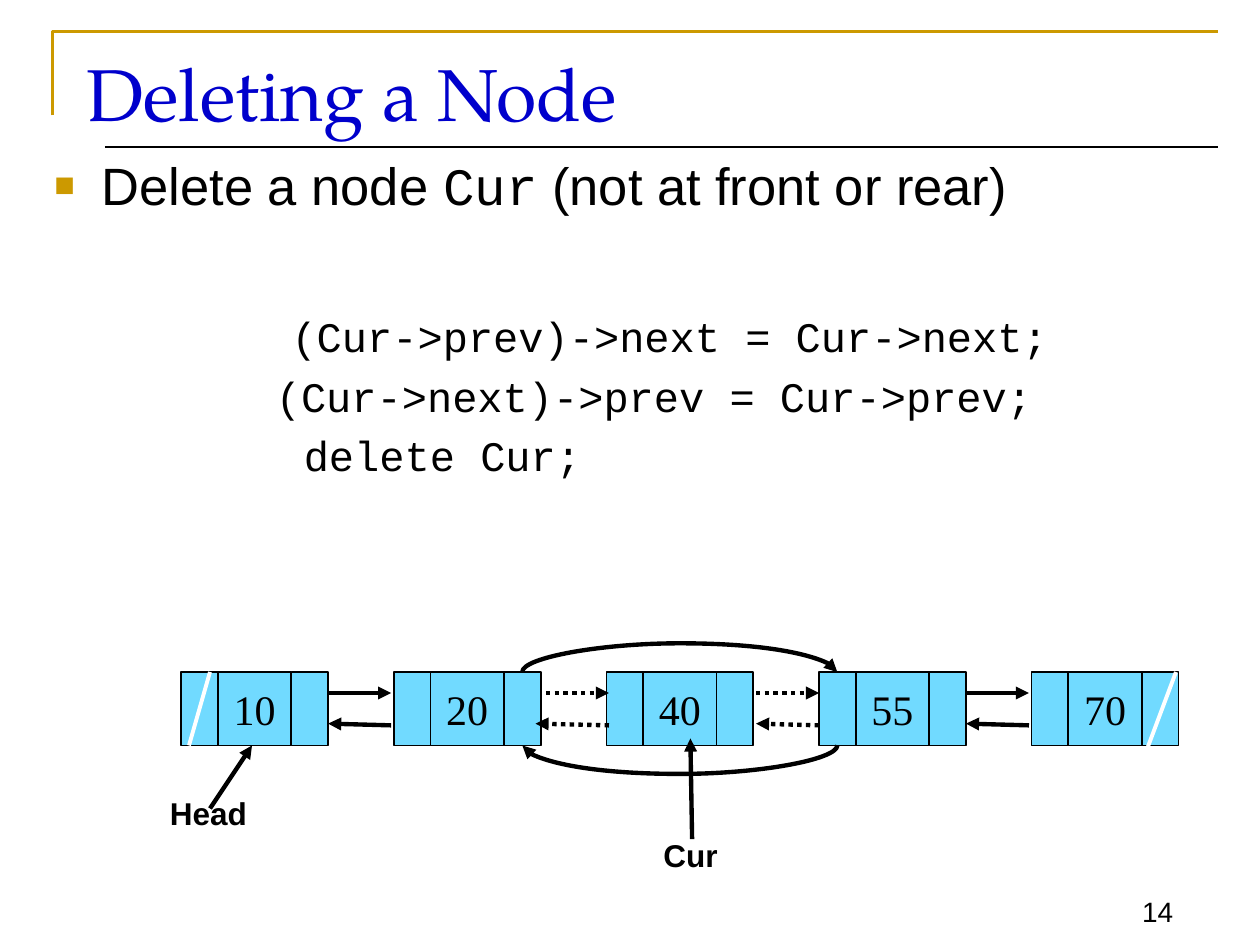
from dataclasses import dataclass
from typing import Any, NamedTuple

from lxml import etree
from pptx import Presentation
from pptx.dml.color import RGBColor
from pptx.enum.dml import MSO_LINE
from pptx.enum.shapes import MSO_CONNECTOR, MSO_SHAPE
from pptx.enum.text import MSO_ANCHOR, PP_ALIGN
from pptx.oxml.ns import qn
from pptx.util import Pt

STRAIGHT, CURVE = MSO_CONNECTOR.STRAIGHT, MSO_CONNECTOR.CURVE
RECTANGLE = MSO_SHAPE.RECTANGLE
TOP, MIDDLE, BOTTOM = MSO_ANCHOR.TOP, MSO_ANCHOR.MIDDLE, MSO_ANCHOR.BOTTOM
LEFT, CENTER, RIGHT = PP_ALIGN.LEFT, PP_ALIGN.CENTER, PP_ALIGN.RIGHT
DOTTED = MSO_LINE.ROUND_DOT


@dataclass(frozen=True)
class Theme:
    black: str = "000000"
    white: str = "FFFFFF"
    gold: str = "CC9900"
    blue: str = "0000CC"
    cell: str = "71DAFF"
    title_size: float = 42
    body_size: float = 30
    code_size: float = 24
    label_size: float = 18
    number_size: float = 16
    sans: str = "Arial"
    mono: str = "Courier New"
    serif: str = "Times New Roman"
    display: str = "TeX Gyre Pagella"


theme = Theme()


class Span(NamedTuple):
    text: str
    font: str
    size: float
    color: str = theme.black
    bold: bool = False


class Para(NamedTuple):
    spans: list[Span]
    before: float = 0
    align: PP_ALIGN = LEFT
    indent: float = 0
    bullet: str = ""


class Line(NamedTuple):
    start: tuple[float, float]
    end: tuple[float, float]
    width: float = 2.5
    color: str = theme.black
    arrow: bool = True
    dotted: bool = False


class Arc(NamedTuple):
    start: tuple[float, float]
    end: tuple[float, float]
    bend: int


class Label(NamedTuple):
    text: str
    left: float
    top: float


def set_values(target: Any, values: dict[str, Any]) -> None:
    for name, value in values.items():
        setattr(target, name, value)


def write_text(frame: Any, paras: list[Para], anchor: MSO_ANCHOR, wrap: bool) -> None:
    set_values(frame, {"word_wrap": wrap, "vertical_anchor": anchor})
    for index, item in enumerate(paras):
        para = frame.add_paragraph() if index else frame.paragraphs[0]
        set_values(para, {"alignment": item.align, "space_before": Pt(item.before)})
        properties = para._p.get_or_add_pPr()
        if item.indent:
            properties.set("marL", str(Pt(item.indent)))
        if item.bullet:
            properties.set("indent", str(-Pt(item.indent)))
            color = etree.SubElement(properties, qn("a:buClr"))
            etree.SubElement(color, qn("a:srgbClr"), val=theme.gold)
            etree.SubElement(properties, qn("a:buSzPct"), val="65000")
            etree.SubElement(properties, qn("a:buFont"), typeface=theme.sans)
            etree.SubElement(properties, qn("a:buChar"), char=item.bullet)
        for piece in item.spans:
            span = para.add_run()
            span.text = piece.text
            set_values(span.font, {"name": piece.font, "size": Pt(piece.size), "bold": piece.bold})
            span.font.color.rgb = RGBColor.from_string(piece.color)


def add_text(page: Any, place: tuple[float, ...], paras: list[Para],
             anchor: MSO_ANCHOR = TOP) -> None:
    box = page.shapes.add_textbox(*map(Pt, place))
    write_text(box.text_frame, paras, anchor, True)


def style_line(shape: Any, width: float, color: str, arrow: bool = False) -> None:
    shape.line.width = Pt(width)
    shape.line.color.rgb = RGBColor.from_string(color)
    if arrow:
        etree.SubElement(shape.line._get_or_add_ln(), qn("a:tailEnd"), type="triangle")


def add_line(page: Any, line: Line) -> None:
    connector = page.shapes.add_connector(STRAIGHT, *map(Pt, line.start + line.end))
    if line.dotted:
        connector.line.dash_style = DOTTED
    style_line(connector, line.width, line.color, line.arrow)
    etree.SubElement(connector._element.spPr, qn("a:effectLst"))


def add_arc(page: Any, arc: Arc) -> None:
    thickness = 0.125
    middle = (arc.start[0] + arc.end[0]) / 2
    half = (arc.end[0] - arc.start[0]) / 2
    level = arc.start[1]
    connector = page.shapes.add_connector(
        CURVE, Pt(middle - thickness / 2), Pt(level + half),
        Pt(middle + thickness / 2), Pt(level - half))
    properties = connector._element.spPr
    properties.find(qn("a:xfrm")).set("rot", "5400000")
    geometry = properties.find(qn("a:prstGeom"))
    adjustments = geometry.find(qn("a:avLst"))
    if adjustments is None:
        adjustments = etree.SubElement(geometry, qn("a:avLst"))
    bend = round(arc.bend / thickness * 100000)
    etree.SubElement(adjustments, qn("a:gd"), name="adj1", fmla=f"val {bend}")
    style_line(connector, 2.5, theme.black, True)
    etree.SubElement(properties, qn("a:effectLst"))


def add_node(page: Any, left: float, value: str) -> None:
    node = page.shapes.add_group_shape()
    for offset, width, text in ((0, 21, ""), (21, 42, value), (63, 21, "")):
        cell = node.shapes.add_shape(RECTANGLE, Pt(left + offset), Pt(384), Pt(width), Pt(42))
        cell.shadow.inherit = False
        cell.fill.solid()
        cell.fill.fore_color.rgb = RGBColor.from_string(theme.cell)
        style_line(cell, 1, theme.black)
        if text:
            span = Span(text, theme.serif, theme.code_size)
            write_text(cell.text_frame, [Para([span], align=CENTER)], MIDDLE, False)


def add_frame(page: Any) -> None:
    builder = page.shapes.build_freeform(Pt(30), Pt(66))
    builder.add_line_segments([(Pt(30), Pt(18)), (Pt(696), Pt(18))], close=False)
    corner = builder.convert_to_shape()
    corner.shadow.inherit = False
    corner.fill.background()
    style_line(corner, 1.5, theme.gold)
    add_line(page, Line((60, 84), (696, 84), 0.75, arrow=False))


def main() -> None:
    deck = Presentation()
    set_values(deck, {"slide_width": Pt(720), "slide_height": Pt(540)})
    page = deck.slides.add_slide(deck.slide_layouts[6])
    add_frame(page)
    add_text(page, (630, 498, 47.5, 36),
             [Para([Span("14", theme.sans, theme.number_size)], align=RIGHT)], BOTTOM)
    add_text(page, (42.5, 25.5, 654, 54),
             [Para([Span("Deleting a Node", theme.display, theme.title_size, theme.blue)])], MIDDLE)

    heading = [Span("Delete a node ", theme.sans, theme.body_size),
               Span("Cur", theme.mono, theme.body_size),
               Span(" (not at front or rear)", theme.sans, theme.body_size)]
    code = (("(Cur->prev)->next = Cur->next;", 54, 135.5),
            ("(Cur->next)->prev = Cur->prev;", 5.25, 126.5),
            ("delete Cur;", 5.25, 142.5))
    add_text(page, (24, 84, 672, 432), [Para(heading, 2.5, indent=27, bullet="■")] + [
        Para([Span(text, theme.mono, theme.code_size)], before, indent=indent)
        for text, before, indent in code])

    for index, value in enumerate(("10", "20", "40", "55", "70")):
        add_node(page, 103.5 + 121.5 * index, value)

    for left, back, dotted in ((187.5, 187.5, False), (312, 306, True),
                               (432, 432, True), (552, 552, False)):
        add_line(page, Line((left, 396), (left + 36, 396), dotted=dotted))
        add_line(page, Line((left + 36, 414.5), (back, 413.5), dotted=dotted))

    for line in (Line((120, 462), (144, 426)),
                 Line((395.5, 479.5), (394.5, 422)),
                 Line((120, 384), (108, 426), 2.25, theme.white, False),
                 Line((672, 384), (654, 432), 2.25, theme.white, False)):
        add_line(page, line)

    for label in (Label("Head", 90, 450), Label("Cur", 372, 474)):
        span = Span(label.text, theme.sans, theme.label_size, bold=True)
        add_text(page, (label.left, label.top, 72, 29), [Para([span], 2)])

    for arc in (Arc((298.5, 384), (478.5, 384), -18), Arc((478.5, 426), (298.5, 426), 18)):
        add_arc(page, arc)
    deck.save("out.pptx")


main()
